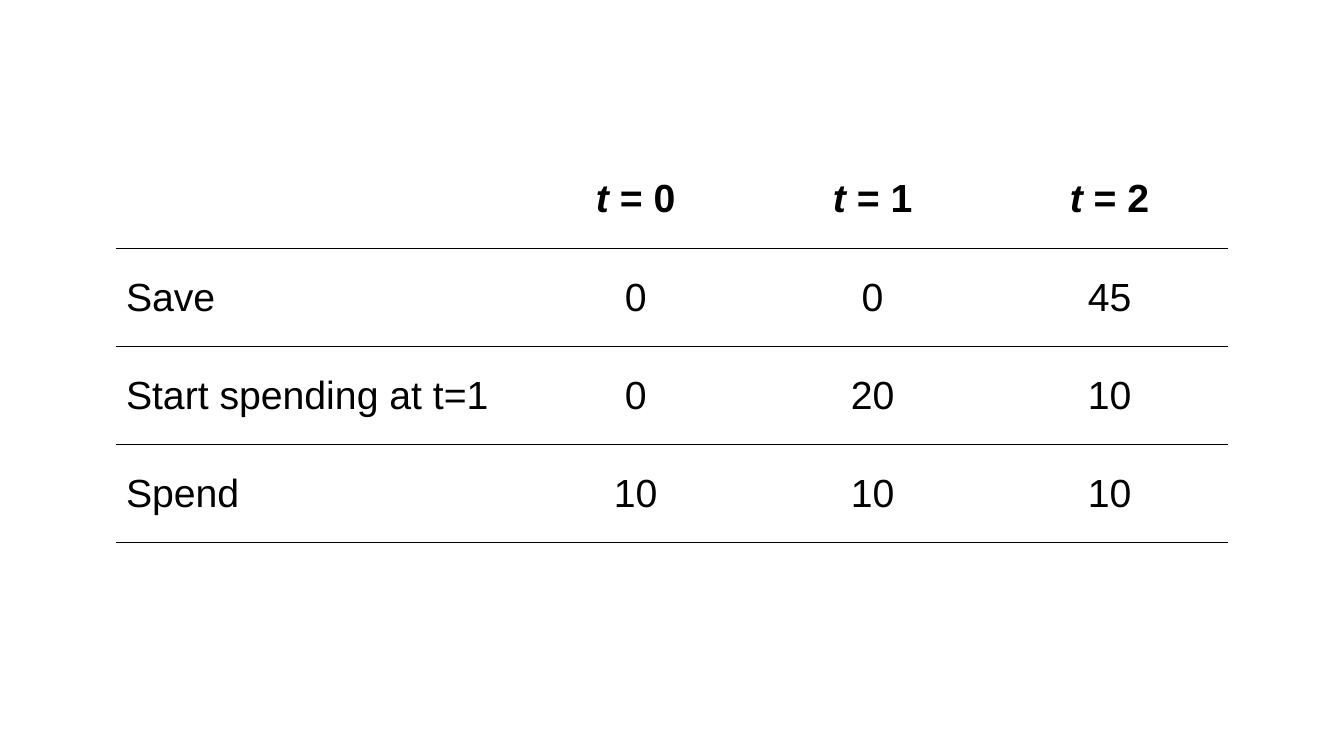
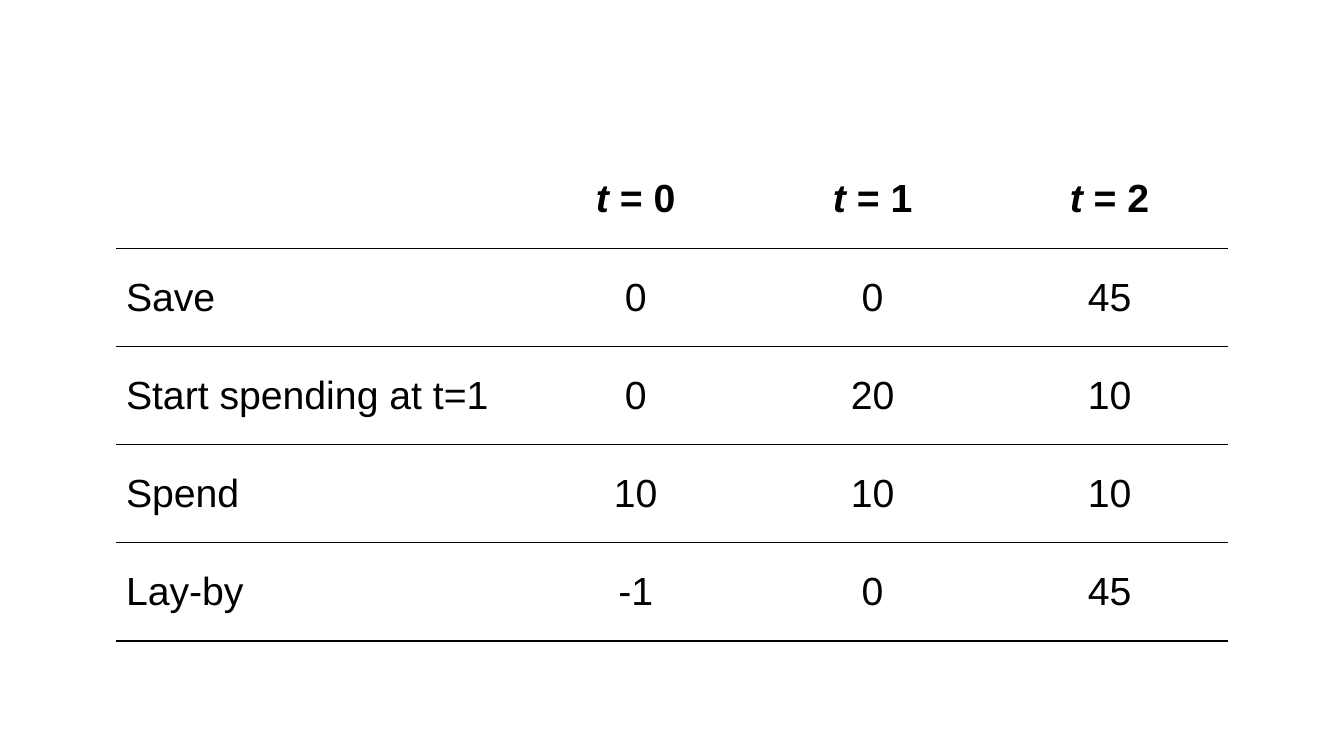
from lxml import etree
from pptx import Presentation, util as u
from pptx.dml.color import RGBColor
from pptx.enum import text
from pptx.oxml.ns import qn

BLACK = RGBColor(0x00, 0x00, 0x00)
FONT, TEXT_SIZE, RULE_WIDTH = "Arial", u.Pt(28), u.Pt(1)
NO_STYLE_NO_GRID = "{2D5ABB26-0587-4C30-8999-92F81FD0307C}"

LEFT, TOP = u.Inches(1.15), u.Inches(1.49)
COLUMN_WIDTHS = [u.Inches(w) for w in (3.98, 2.35, 2.35, 2.35)]
ROW_HEIGHT = u.Inches(4.87) // 5

PERIODS = (0, 1, 2)
SAVING_OPTIONS = [
    ("Save", 0, 0, 45),
    ("Start spending at t=1", 0, 20, 10),
    ("Spend", 10, 10, 10),
]
LAY_BY = ("Lay-by", -1, 0, 45)


def rule_below(cell):
    """Draw a thin line along the bottom of a cell."""
    line = etree.Element(qn("a:lnB"), w=str(int(RULE_WIDTH)))
    fill = etree.SubElement(line, qn("a:solidFill"))
    etree.SubElement(fill, qn("a:srgbClr"), val=str(BLACK))
    cell._tc.get_or_add_tcPr().insert(0, line)


def write_cell(cell, runs, bold=False, centred=True):
    """Fill a cell with (wording, italic) runs."""
    cell.vertical_anchor = text.MSO_ANCHOR.MIDDLE
    cell.fill.background()
    rule_below(cell)
    paragraph = cell.text_frame.paragraphs[0]
    paragraph.alignment = text.PP_ALIGN.CENTER if centred else text.PP_ALIGN.LEFT
    font = paragraph.font
    font.name, font.size, font.bold = FONT, TEXT_SIZE, bold
    font.color.rgb = BLACK
    for wording, italic in runs:
        run = paragraph.add_run()
        run.text = wording
        if italic:
            run.font.italic = True


def add_payoff_table(slide, left, top, options):
    """Add a table of payoffs, one row for each option."""
    row_count = len(options) + 1
    frame = slide.shapes.add_table(row_count, len(COLUMN_WIDTHS), left, top,
                                   sum(COLUMN_WIDTHS), ROW_HEIGHT * row_count)
    payoffs = frame.table
    payoffs.first_row = payoffs.horz_banding = False
    payoffs._tbl.tblPr.find(qn("a:tableStyleId")).text = NO_STYLE_NO_GRID
    for column, width in zip(payoffs.columns, COLUMN_WIDTHS):
        column.width = width
    for row in payoffs.rows:
        row.height = ROW_HEIGHT

    # Header: an empty corner, then the periods
    write_cell(payoffs.cell(0, 0), [])
    for c, period in enumerate(PERIODS, 1):
        write_cell(payoffs.cell(0, c), [("t", True), (f" = {period}", False)], bold=True)

    # Options and their payoffs
    for r, option in enumerate(options, 1):
        for c, value in enumerate(option):
            write_cell(payoffs.cell(r, c), [(str(value), False)], centred=c > 0)


def main():
    deck = Presentation()
    deck.slide_width, deck.slide_height = u.Inches(13.33), u.Inches(7.5)
    blank = deck.slide_layouts[6]
    for options in (SAVING_OPTIONS, SAVING_OPTIONS + [LAY_BY]):
        add_payoff_table(deck.slides.add_slide(blank), LEFT, TOP, options)
    deck.save("out.pptx")


if __name__ == "__main__":
    main()
